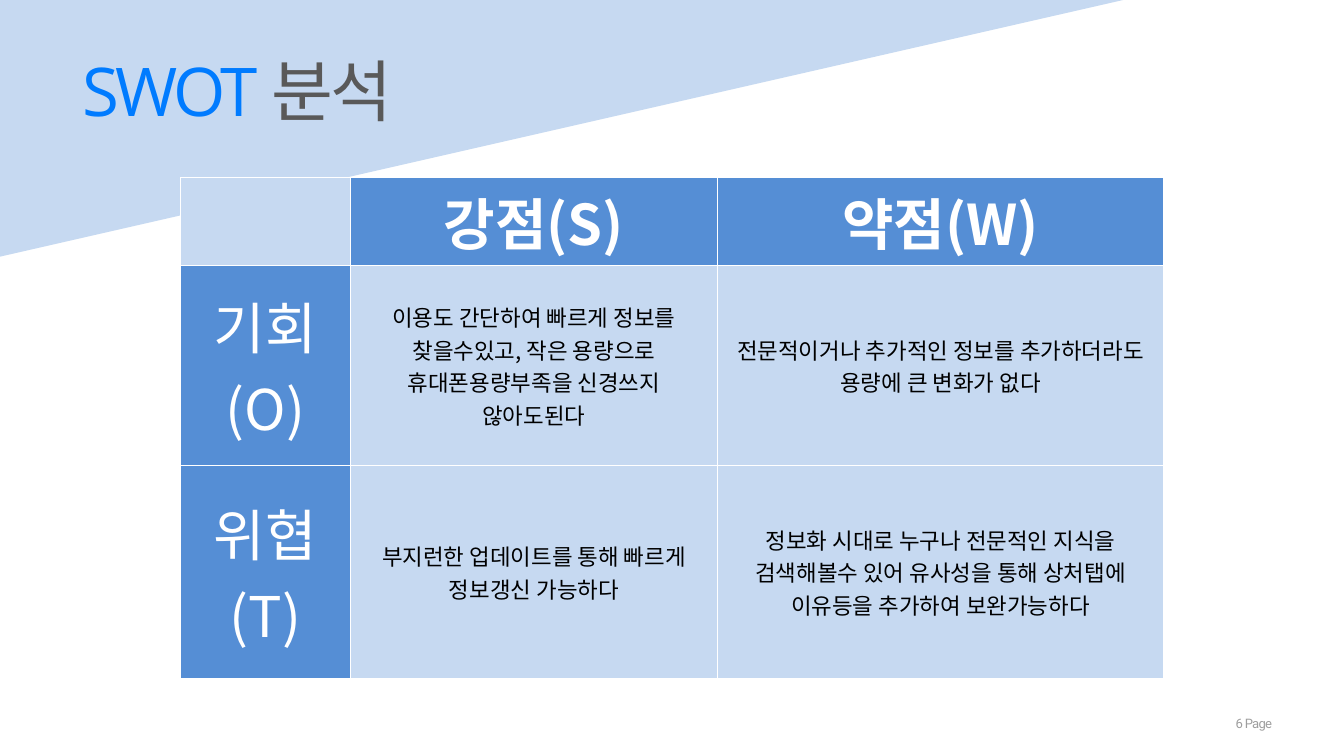
import pptx
import pptx.util
import pptx.dml.color
import pptx.enum.shapes
import pptx.enum.text
import pptx.oxml.ns
import lxml.etree

Inches, Pt = pptx.util.Inches, pptx.util.Pt
RGB = pptx.dml.color.RGBColor
ALIGN, ANCHOR = pptx.enum.text.PP_ALIGN, pptx.enum.text.MSO_ANCHOR
qn = pptx.oxml.ns.qn

WHITE = RGB(0xFF, 0xFF, 0xFF)
BLACK = RGB(0, 0, 0)
PALE = RGB(0xC6, 0xD9, 0xF1)
BLUE = RGB(0x55, 0x8E, 0xD5)
BRIGHT = RGB(0x00, 0x7B, 0xFF)
DARK = RGB(0x59, 0x59, 0x59)
GRAY = RGB(0x9E, 0x9E, 0x9E)
KOREAN = "Noto Sans CJK KR"


def add_run(p, text, size, color, font=KOREAN, bold=False, spacing=0):
    r = p.add_run()
    r.text = text
    r.font.size, r.font.name, r.font.bold = Pt(size), font, bold
    r.font.color.rgb = color
    rPr = r.font._element
    if spacing:
        rPr.set("spc", str(round(spacing * 100)))
    ea = lxml.etree.SubElement(rPr, qn("a:ea"))
    ea.set("typeface", KOREAN)


def add_borders(cell, color, width):
    tcPr = cell._tc.get_or_add_tcPr()
    for side in ("lnL", "lnR", "lnT", "lnB"):
        ln = lxml.etree.SubElement(tcPr, qn("a:" + side), w=str(Pt(width)))
        fill = lxml.etree.SubElement(ln, qn("a:solidFill"))
        lxml.etree.SubElement(fill, qn("a:srgbClr"), val=str(color))


prs = pptx.Presentation()
prs.slide_width, prs.slide_height = Inches(20), Inches(11.25)
s = prs.slides.add_slide(prs.slide_layouts[5])

# Corner triangle, behind the title
sp = s.shapes.add_shape(pptx.enum.shapes.MSO_SHAPE.RIGHT_TRIANGLE,
                        0, Inches(-0.01), Inches(16.76), Inches(3.83))
sp.shadow.inherit = False
sp.fill.solid()
sp.fill.fore_color.rgb = PALE
sp.line.fill.background()
sp._element.spPr.find(qn("a:xfrm")).set("flipV", "1")
s.shapes._spTree.insert(2, sp._element)

# Title
title = s.shapes.title
title.left, title.top = Inches(1.13), Inches(0.69)
title.width, title.height = Inches(13.57), Inches(2.09)
tf = title.text_frame
tf.word_wrap = True
tf.auto_size = pptx.enum.text.MSO_AUTO_SIZE.NONE
tf.vertical_anchor = ANCHOR.TOP
p = tf.paragraphs[0]
p.alignment = ALIGN.LEFT
add_run(p, "SWOT ", 72, BRIGHT, "Open Sans", spacing=-3.8)
add_run(p, "분석", 72, DARK, "Open Sans", spacing=-3.8)

# Page number
tf = s.shapes.add_textbox(Inches(15.9), Inches(10.59), Inches(3.13), Inches(0.34)).text_frame
tf.word_wrap = True
p = tf.paragraphs[0]
p.alignment = ALIGN.RIGHT
add_run(p, "6 Page", 14, GRAY, "Roboto", spacing=-0.8)

# SWOT table: each cell is a list of paragraphs
rows = [
    [[], ["강점(S)"], ["약점(W)"]],
    [["기회", "(O)"],
     ["이용도 간단하여 빠르게 정보를 찾을수있고, 작은 용량으로 휴대폰용량부족을 신경쓰지 않아도된다"],
     ["전문적이거나 추가적인 정보를 추가하더라도 용량에 큰 변화가 없다"]],
    [["위협", "(T)"],
     ["부지런한 업데이트를 통해 빠르게 정보갱신 가능하다"],
     ["정보화 시대로 누구나 전문적인 지식을 검색해볼수 있어 유사성을 통해 상처탭에 이유등을 추가하여 보완가능하다"]],
]
table = s.shapes.add_table(3, 3, Inches(2.69), Inches(2.64), Inches(14.62), Inches(7.46)).table
for column, width in zip(table.columns, (2.52, 5.47, 6.63)):
    column.width = Inches(width)
for row, height in zip(table.rows, (1.31, 2.98, 3.17)):
    row.height = Inches(height)

for i, row in enumerate(rows):
    for j, lines in enumerate(row):
        cell = table.cell(i, j)
        is_header = (i == 0) != (j == 0)
        add_borders(cell, WHITE, 1)
        cell.fill.solid()
        cell.fill.fore_color.rgb = BLUE if is_header else PALE
        cell.vertical_anchor = ANCHOR.MIDDLE
        for n, line in enumerate(lines):
            tf = cell.text_frame
            p = tf.add_paragraph() if n else tf.paragraphs[0]
            p.alignment = ALIGN.CENTER
            add_run(p, line, 60 if is_header else 24,
                    WHITE if is_header else BLACK, bold=i == 0)

prs.save("out.pptx")
